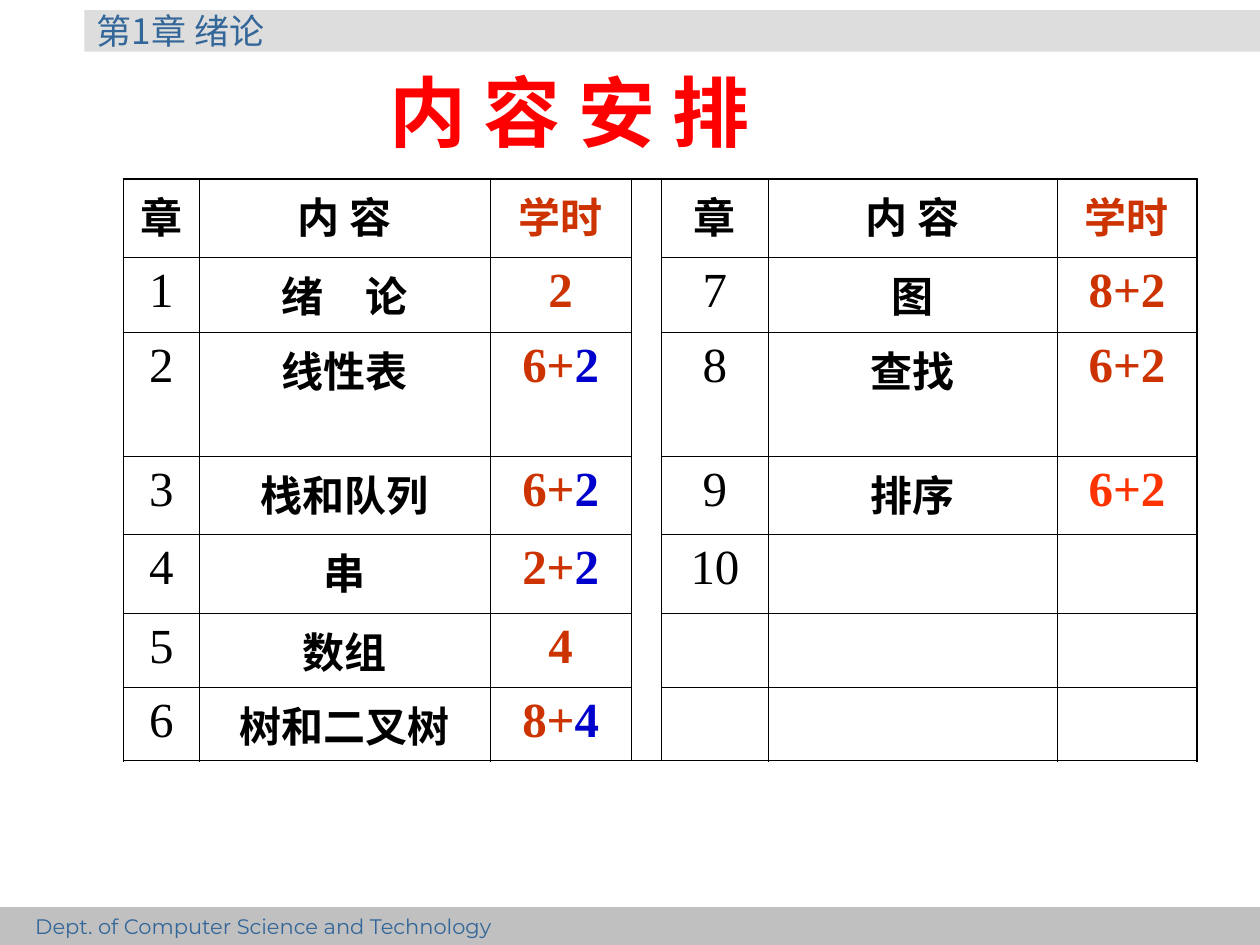
from lxml import etree
from pptx import Presentation
from pptx.dml.color import RGBColor
from pptx.enum.shapes import MSO_SHAPE
from pptx.enum.text import MSO_ANCHOR, MSO_AUTO_SIZE, PP_ALIGN
from pptx.oxml.ns import qn
from pptx.util import Inches, Pt

RECTANGLE = MSO_SHAPE.RECTANGLE
MIDDLE, TOP = MSO_ANCHOR.MIDDLE, MSO_ANCHOR.TOP
LEFT, CENTER = PP_ALIGN.LEFT, PP_ALIGN.CENTER
NO_AUTOFIT = MSO_AUTO_SIZE.NONE

BLACK = RGBColor(0x00, 0x00, 0x00)
RED = RGBColor(0xFF, 0x00, 0x00)
BRICK = RGBColor(0xCC, 0x33, 0x00)
ORANGE = RGBColor(0xFF, 0x33, 0x00)
BLUE = RGBColor(0x00, 0x00, 0xCC)
STEEL = RGBColor(0x33, 0x66, 0x99)
LIGHT_GRAY = RGBColor(0xDD, 0xDD, 0xDD)
GRAY = RGBColor(0xC0, 0xC0, 0xC0)

SERIF = "Times New Roman"
CHINESE = "Noto Sans CJK SC"
SANS = "Montserrat"

THIN, THICK = Pt(0.45), Pt(1.08)
COLUMN_WIDTHS = (0.6, 2.31, 1.12, 0.24, 0.85, 2.29, 1.11)
ROW_HEIGHTS = (0.62, 0.6, 0.98, 0.62, 0.63, 0.57, 0.58)
GAP_COLUMN = 3

HEADINGS = ("章", "内\u2002容".replace("\u2002", " "), "学时")
# Chapter number, topic, and hours as (text, colour) parts
FIRST_CHAPTERS = (
    ("1", "绪　论", [("2", BRICK)]),
    ("2", "线性表", [("6+", BRICK), ("2", BLUE)]),
    ("3", "栈和队列", [("6+", BRICK), ("2", BLUE)]),
    ("4", "串", [("2+", BRICK), ("2", BLUE)]),
    ("5", "数组", [("4", BRICK)]),
    ("6", "树和二叉树", [("8+", BRICK), ("4", BLUE)]),
)
LAST_CHAPTERS = (
    ("7", "图", [("8+2", BRICK)]),
    ("8", "查找", [("6+2", BRICK)]),
    ("9", "排序", [("6+2", ORANGE)]),
    ("10", "", []),
)


def write(para, parts, size, font_name, bold=False, align=LEFT):
    """Fill a paragraph with (text, colour) parts in one font."""
    para.alignment = align
    font = para.font
    font.size, font.name, font.bold = Pt(size), font_name, bold
    defaults = para._p.pPr.find(qn("a:defRPr"))
    etree.SubElement(defaults, qn("a:ea"), typeface=CHINESE)
    if len(parts) == 1:
        font.color.rgb = parts[0][1]
    for text, color in parts:
        span = para.add_run()
        span.text = text
        if len(parts) > 1:
            span.font.color.rgb = color


def add_band(page, box, fill, text, size, font_name, inset, anchor):
    band = page.shapes.add_shape(RECTANGLE, *map(Inches, box))
    band.shadow.inherit = False
    band.fill.solid()
    band.fill.fore_color.rgb = fill
    band.line.fill.background()
    frame = band.text_frame
    frame.margin_left = Inches(inset)
    frame.vertical_anchor = anchor
    write(frame.paragraphs[0], [(text, STEEL)], size, font_name)


def place_title(page, box, text):
    title = page.shapes.title
    title.left, title.top, title.width, title.height = map(Inches, box)
    frame = title.text_frame
    frame.auto_size = NO_AUTOFIT
    frame.vertical_anchor = MIDDLE
    write(frame.paragraphs[0], [(text, RED)], 44, SERIF, True, CENTER)


def set_borders(cell, widths):
    """Draw black left, right, top and bottom borders of the given widths."""
    properties = cell._tc.get_or_add_tcPr()
    for side, width in zip("LRTB", widths):
        line = etree.SubElement(properties, qn(f"a:ln{side}"), w=str(int(width)))
        fill = etree.SubElement(line, qn("a:solidFill"))
        etree.SubElement(fill, qn("a:srgbClr"), val=str(BLACK))


def fill_half(table, first_column, chapters):
    """Write the headings and chapters into three neighbouring columns."""
    for offset, (heading, color) in enumerate(zip(HEADINGS, (BLACK, BLACK, BRICK))):
        para = table.cell(0, first_column + offset).text_frame.paragraphs[0]
        write(para, [(heading, color)], 24, SERIF, True, CENTER)
    for row, (number, topic, hours) in enumerate(chapters, start=1):
        columns = (
            ([(number, BLACK)], 28, False),
            ([(topic, BLACK)] if topic else [], 24, True),
            (hours, 28, True),
        )
        for offset, (parts, size, bold) in enumerate(columns):
            if parts:
                para = table.cell(row, first_column + offset).text_frame.paragraphs[0]
                write(para, parts, size, SERIF, bold, CENTER)


def add_schedule(page, box):
    last_row, last_column = len(ROW_HEIGHTS) - 1, len(COLUMN_WIDTHS) - 1
    table = page.shapes.add_table(
        last_row + 1, last_column + 1, *map(Inches, box)
    ).table
    table.first_row = table.horz_banding = False
    for column, width in zip(table.columns, COLUMN_WIDTHS):
        column.width = Inches(width)
    for row, height in zip(table.rows, ROW_HEIGHTS):
        row.height = Inches(height)
    for row in range(last_row + 1):
        for column in range(last_column + 1):
            cell = table.cell(row, column)
            outer = (column == 0, column == last_column, row == 0, row == last_row)
            set_borders(cell, [THICK if edge else THIN for edge in outer])
            cell.fill.background()
    table.cell(0, GAP_COLUMN).merge(table.cell(last_row, GAP_COLUMN))
    fill_half(table, 0, FIRST_CHAPTERS)
    fill_half(table, GAP_COLUMN + 1, LAST_CHAPTERS)


def main():
    deck = Presentation()
    deck.slide_width, deck.slide_height = Inches(10), Inches(7.5)
    page = deck.slides.add_slide(deck.slide_layouts[5])
    add_band(page, (0.67, 0.08, 9.33, 0.33), LIGHT_GRAY,
             "第1章 绪论", 20, CHINESE, 0.1, MIDDLE)
    add_band(page, (0, 7.2, 10, 0.3), GRAY,
             "Dept. of Computer Science and Technology", 12, SANS, 0.28, TOP)
    place_title(page, (2.56, 0.42, 3.92, 0.92), "内 容 安 排")
    add_schedule(page, (0.98, 1.42, 8.53, 4.59))
    deck.save("out.pptx")


if __name__ == "__main__":
    main()
